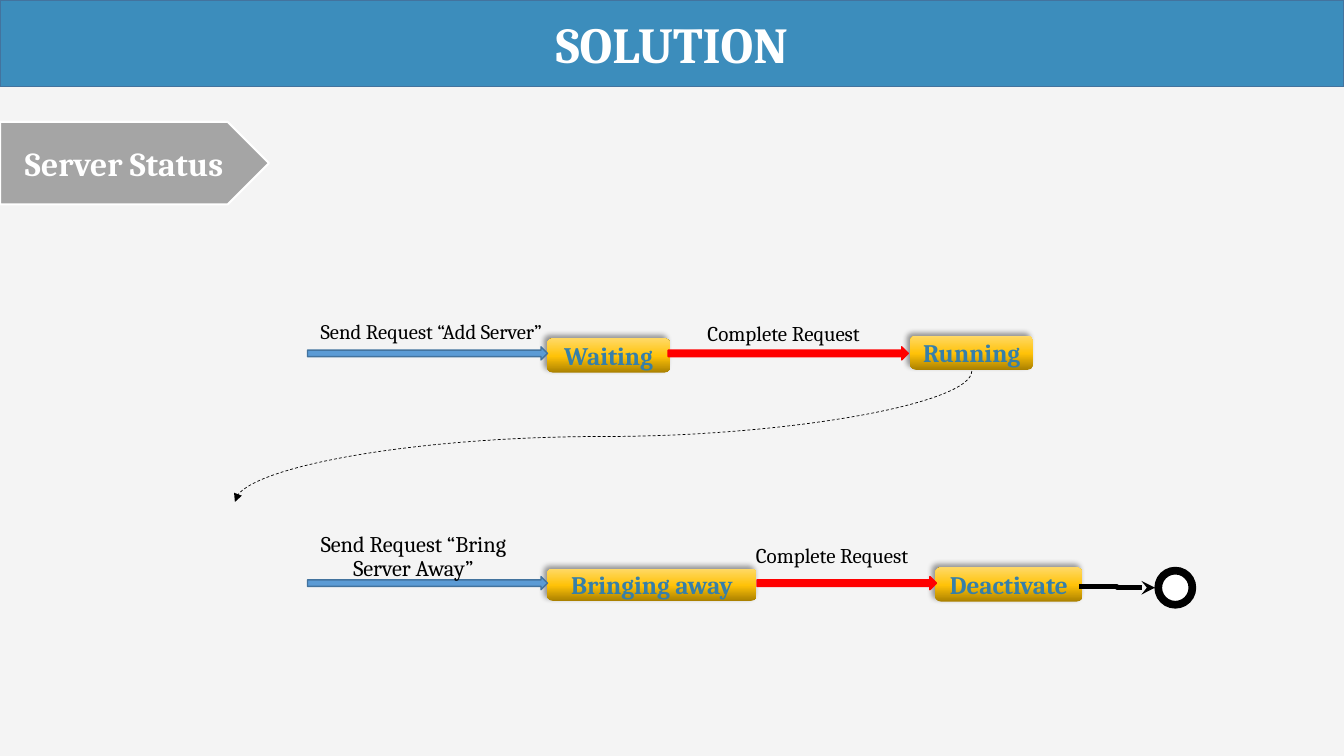
from lxml import etree
from pptx import Presentation
from pptx.dml.color import RGBColor
from pptx.enum.dml import MSO_LINE
from pptx.enum.shapes import MSO_CONNECTOR, MSO_SHAPE
from pptx.enum.text import MSO_ANCHOR, PP_ALIGN
from pptx.oxml.ns import qn
from pptx.util import Cm, Pt

RECTANGLE, PENTAGON = MSO_SHAPE.RECTANGLE, MSO_SHAPE.PENTAGON
ROUNDED, ELLIPSE = MSO_SHAPE.ROUNDED_RECTANGLE, MSO_SHAPE.OVAL
RIGHT_ARROW = MSO_SHAPE.RIGHT_ARROW
ELBOW, CURVE = MSO_CONNECTOR.ELBOW, MSO_CONNECTOR.CURVE
DASH = MSO_LINE.DASH
CENTER, MIDDLE = PP_ALIGN.CENTER, MSO_ANCHOR.MIDDLE

FONT = "Cambria"
PAGE_WIDTH, PAGE_HEIGHT = 33.87, 19.05

BACKGROUND = RGBColor(0xF4, 0xF4, 0xF4)
BANNER = RGBColor(0x3C, 0x8D, 0xBC)
OUTLINE = RGBColor(0x43, 0x73, 0x9E)
GRAY = RGBColor(0xA5, 0xA5, 0xA5)
BLUE = RGBColor(0x5B, 0x9B, 0xD5)
RED = RGBColor(0xFF, 0x00, 0x00)
STATE_TEXT = RGBColor(0x36, 0x7F, 0xA9)
BLACK = RGBColor(0x00, 0x00, 0x00)
WHITE = RGBColor(0xFF, 0xFF, 0xFF)
GOLD_STOPS = (
    (0, RGBColor(0xAB, 0x81, 0x00)),
    (48, RGBColor(0xFF, 0xC2, 0x08)),
    (100, RGBColor(0xFF, 0xD9, 0x66)),
)


def write(box, text, size, color, bold=False):
    box.text_frame.word_wrap = True
    para = box.text_frame.paragraphs[0]
    para.text = text
    para.alignment = CENTER
    para.font.name = FONT
    para.font.size = Pt(size)
    para.font.bold = bold
    para.font.color.rgb = color
    return para


def add_shape(page, kind, left, top, width, height, fill, line, weight=1):
    shape = page.shapes.add_shape(kind, Cm(left), Cm(top), Cm(width), Cm(height))
    shape.shadow.inherit = False
    shape.fill.solid()
    shape.fill.fore_color.rgb = fill
    shape.line.color.rgb = line
    shape.line.width = Pt(weight)
    shape.text_frame.vertical_anchor = MIDDLE
    return shape


def append_color(parent, color):
    return etree.SubElement(parent, qn("a:srgbClr"), val=str(color))


def add_state(page, name, left, top, width, height=0.86):
    """Add a gold box whose shadow falls to the upper left."""
    state = add_shape(page, ROUNDED, left, top, width, height, WHITE, WHITE)
    state.line.fill.background()
    state.fill.gradient()
    state.fill.gradient_angle = 90
    properties = state._element.spPr
    stops = properties.find(".//" + qn("a:gsLst"))
    for stop in list(stops):
        stops.remove(stop)
    for percent, color in GOLD_STOPS:
        stop = etree.SubElement(stops, qn("a:gs"), pos=str(percent * 1000))
        append_color(stop, color)
    shadow = etree.SubElement(
        properties.find(qn("a:effectLst")), qn("a:outerShdw"),
        blurRad=str(Pt(4)), dist=str(Pt(3)), dir=str(225 * 60000))
    etree.SubElement(append_color(shadow, BLACK), qn("a:alpha"), val="40000")
    write(state, name, 18, STATE_TEXT, bold=True)


def add_label(page, text, left, top, width, height, size=15):
    box = page.shapes.add_textbox(Cm(left), Cm(top), Cm(width), Cm(height))
    write(box, text, size, BLACK).line_spacing = 0.9


def add_request_arrow(page, top):
    add_shape(page, RIGHT_ARROW, 7.75, top, 6.05, 0.33, BLUE, OUTLINE)


def add_completion_arrow(page, left, top, width):
    add_shape(page, RIGHT_ARROW, left, top, width, 0.33, RED, RED)


def add_link(page, kind, start, end, weight, head):
    link = page.shapes.add_connector(kind, *map(Cm, start + end))
    link.line.color.rgb = BLACK
    link.line.width = Pt(weight)
    etree.SubElement(link.line._get_or_add_ln(), qn("a:tailEnd"), type=head)
    etree.SubElement(link._element.spPr, qn("a:effectLst"))
    return link


def add_return_curve(page, start, end):
    """Add a dashed curve that leaves downwards: laid out sideways, then turned 90°."""
    middle_x, middle_y = (start[0] + end[0]) / 2, (start[1] + end[1]) / 2
    half_width, half_height = (end[1] - start[1]) / 2, (start[0] - end[0]) / 2
    curve = add_link(page, CURVE,
                     (middle_x - half_width, middle_y - half_height),
                     (middle_x + half_width, middle_y + half_height),
                     0.5, "triangle")
    curve.line.dash_style = DASH
    curve._element.spPr.find(qn("a:xfrm")).set("rot", str(90 * 60000))


def add_end_ring(page, left, top):
    add_shape(page, ELLIPSE, left, top, 1.02, 1.02, BLACK, BLACK)
    add_shape(page, ELLIPSE, left + 0.16, top + 0.16, 0.7, 0.7, WHITE, BLACK)


def add_headings(page):
    banner = add_shape(page, RECTANGLE, 0, 0, PAGE_WIDTH, 2.18, BANNER, OUTLINE)
    write(banner, "SOLUTION", 36, WHITE, bold=True)
    topic = add_shape(page, PENTAGON, 0, 3.07, 6.78, 2.08, GRAY, WHITE, 1.5)
    write(topic, "Server Status", 24, WHITE, bold=True)


def add_start_flow(page):
    add_state(page, "Waiting", 13.79, 8.53, 3.1)
    add_state(page, "Running", 22.94, 8.46, 3.1)
    add_request_arrow(page, 8.74)
    add_completion_arrow(page, 16.84, 8.74, 6.05)
    add_label(page, "Send Request “Add Server”", 7.49, 7.98, 6.76, 0.89, 14.8)
    add_label(page, "Complete Request", 16.56, 8.03, 6.38, 0.91)


def add_stop_flow(page):
    add_state(page, "Bringing away", 13.79, 14.33, 5.28, 0.81)
    add_state(page, "Deactivate", 23.57, 14.3, 3.71)
    add_request_arrow(page, 14.53)
    add_completion_arrow(page, 19.08, 14.53, 4.52)
    add_label(page, "Send Request “Bring Server Away”", 7.37, 13.31, 6.1, 2.03, 16)
    add_label(page, "Complete Request", 17.78, 13.61, 6.38, 0.91)
    add_link(page, ELBOW, (27.2, 14.78), (29.11, 14.81), 3.25, "stealth")
    add_end_ring(page, 29.11, 14.3)


def main():
    deck = Presentation()
    deck.slide_width, deck.slide_height = Cm(PAGE_WIDTH), Cm(PAGE_HEIGHT)
    page = deck.slides.add_slide(deck.slide_layouts[6])
    page.background.fill.solid()
    page.background.fill.fore_color.rgb = BACKGROUND
    add_headings(page)
    add_start_flow(page)
    add_stop_flow(page)
    add_return_curve(page, (24.49, 9.35), (5.92, 12.65))
    deck.save("out.pptx")


if __name__ == "__main__":
    main()
